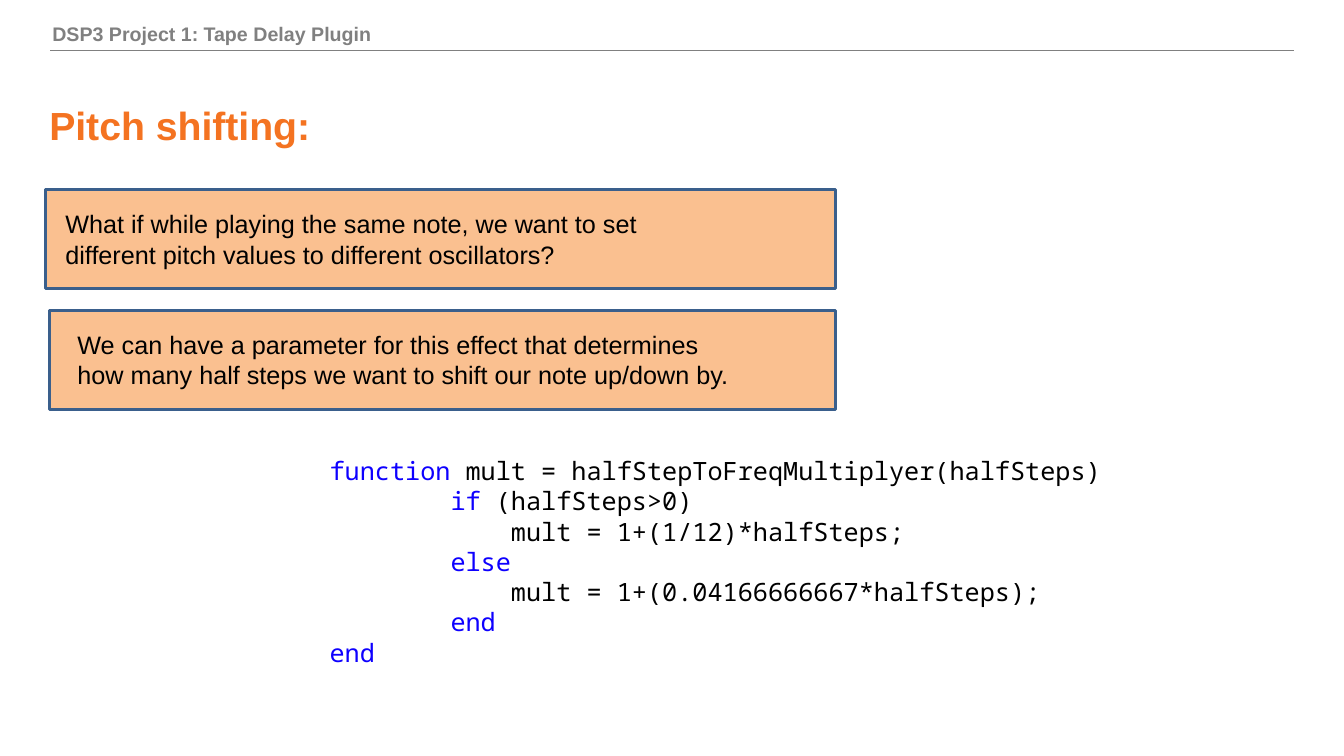
from dataclasses import dataclass

from lxml.etree import SubElement
from pptx import Presentation
from pptx.dml.color import RGBColor as Color
from pptx.enum.shapes import MSO_CONNECTOR as Connector, MSO_SHAPE as Shape
from pptx.enum.text import MSO_ANCHOR as Anchor
from pptx.oxml.ns import qn
from pptx.util import Inches, Pt


@dataclass(frozen=True)
class Theme:
    text_font: str = "Arial"
    code_font: str = "Noto Sans Mono"
    header_size: int = 14
    title_size: int = 28
    body_size: int = 18
    gray: str = "808080"
    orange: str = "F47321"
    panel_fill: str = "FAC090"
    panel_line: str = "3A5F8C"
    black: str = "000000"
    keyword: str = "0E00FF"


class SlideBuilder:
    def __init__(self, slide, theme):
        self.shapes = slide.shapes
        self.theme = theme

    def style(self, span, font, size, color, bold=False):
        span.font.name = font
        span.font.size = Pt(size)
        span.font.color.rgb = Color.from_string(color)
        span.font.bold = bold

    def rule(self, left, right, top):
        line = self.shapes.add_connector(
            Connector.STRAIGHT, Inches(left), Inches(top), Inches(right), Inches(top))
        line.line.color.rgb = Color.from_string(self.theme.gray)
        line.line.width = Pt(0.75)
        SubElement(line.element.spPr, qn("a:effectLst"))

    def panel(self, left, top, width, height):
        panel = self.shapes.add_shape(
            Shape.RECTANGLE, Inches(left), Inches(top), Inches(width), Inches(height))
        panel.shadow.inherit = False
        panel.fill.solid()
        panel.fill.fore_color.rgb = Color.from_string(self.theme.panel_fill)
        panel.line.color.rgb = Color.from_string(self.theme.panel_line)
        panel.line.width = Pt(2)

    def frame(self, left, top, width, height, anchor=Anchor.TOP):
        box = self.shapes.add_textbox(
            Inches(left), Inches(top), Inches(width), Inches(height))
        box.text_frame.word_wrap = True
        box.text_frame.vertical_anchor = anchor
        return box.text_frame

    def text(self, place, wording, size, color, bold=False, anchor=Anchor.TOP):
        frame = self.frame(*place, anchor=anchor)
        frame.text = wording
        for span in frame.paragraphs[0].runs:
            self.style(span, self.theme.text_font, size, color, bold)

    def code(self, place, lines, char_width):
        """Each line is (indent in characters, keyword, remaining code)."""
        frame = self.frame(*place)
        for number, (indent, keyword, rest) in enumerate(lines):
            para = frame.add_paragraph() if number else frame.paragraphs[0]
            properties = para._p.get_or_add_pPr()
            properties.set("marL", str(Inches(indent * char_width)))
            properties.set("indent", "0")
            for wording, color in ((keyword, self.theme.keyword), (rest, self.theme.black)):
                if wording:
                    span = para.add_run()
                    span.text = wording
                    self.style(span, self.theme.code_font, self.theme.body_size, color)


def main():
    deck = Presentation()
    deck.slide_width, deck.slide_height = Inches(13.33), Inches(7.5)
    theme = Theme()
    builder = SlideBuilder(deck.slides.add_slide(deck.slide_layouts[6]), theme)

    # Header and title
    builder.rule(0.5, 12.83, 0.5)
    builder.text((0.42, 0.17, 8.75, 0.34), "DSP3 Project 1:\tTape Delay Plugin",
                 theme.header_size, theme.gray, bold=True)
    builder.text((0.39, 0.81, 6.28, 0.86), "Pitch shifting:",
                 theme.title_size, theme.orange, bold=True, anchor=Anchor.MIDDLE)

    # Question and answer panels
    panels = [
        (0.45, 1.88, 0.55, "What if while playing the same note, we want to set "
                           "different pitch values to different oscillators?"),
        (0.49, 3.08, 0.67, "We can have a parameter for this effect that determines "
                           "how many half steps we want to shift our note up/down by."),
    ]
    panel_right = 8.29
    for left, top, text_left, wording in panels:
        builder.panel(left, top, panel_right - left, 0.98)
        builder.text((text_left, top + 0.14, 6.66, 0.71), wording,
                     theme.body_size, theme.black)

    # Code listing
    builder.code((3.17, 4.47, 8.33, 2.22), [
        (0, "function", " mult = halfStepToFreqMultiplyer(halfSteps)"),
        (8, "if", " (halfSteps>0)"),
        (12, "", "mult = 1+(1/12)*halfSteps;"),
        (8, "else", ""),
        (12, "", "mult = 1+(0.04166666667*halfSteps);"),
        (8, "end", ""),
        (0, "end", ""),
    ], char_width=0.15)

    deck.save("out.pptx")


if __name__ == "__main__":
    main()
